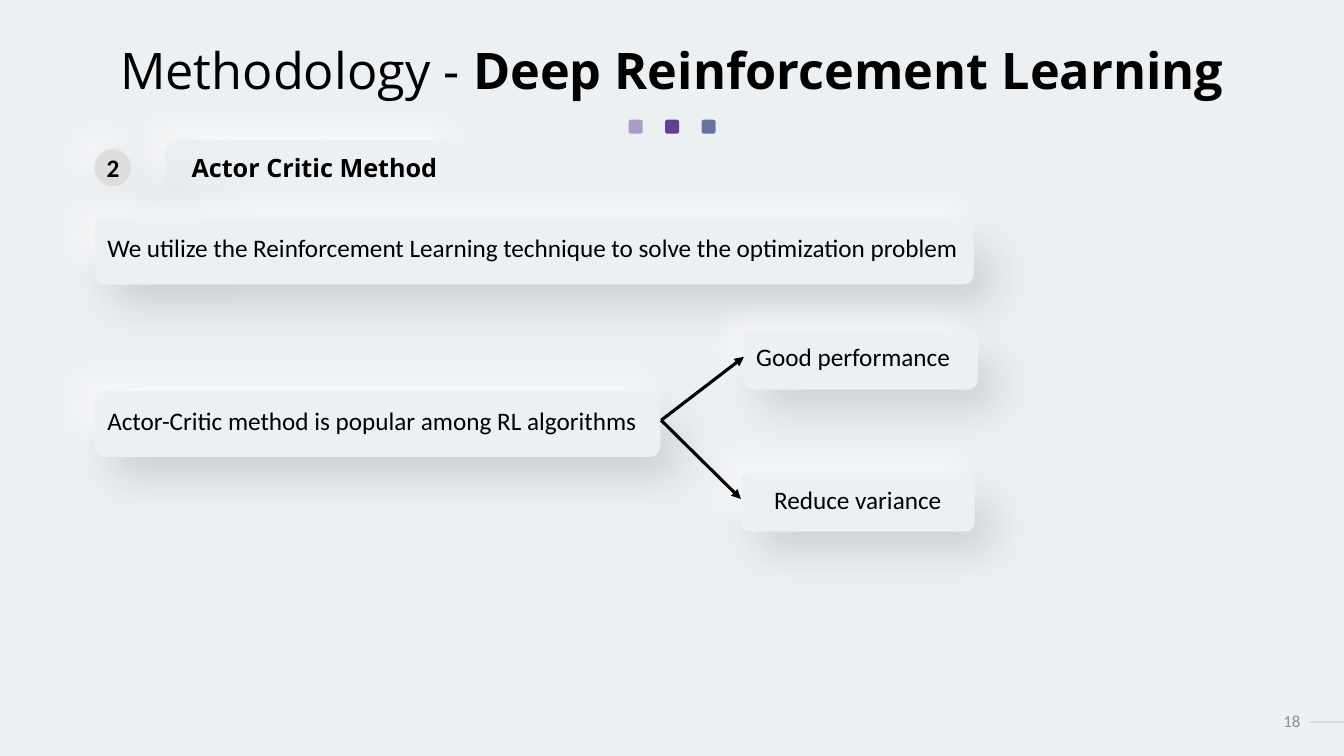
from dataclasses import dataclass

from lxml.etree import SubElement
from pptx import Presentation
from pptx.dml.color import RGBColor
from pptx.enum.shapes import MSO_CONNECTOR as Link, MSO_SHAPE as Kind
from pptx.enum.text import MSO_ANCHOR as Anchor, PP_ALIGN as Align
from pptx.oxml.ns import qn
from pptx.util import Pt

PAPER = "ECF0F3"


@dataclass
class Glow:
    color: str
    alpha: int
    blur: float
    dist: float
    angle: int


@dataclass
class Card:
    text: str
    left: float
    top: float
    width: float
    height: float
    align: Align = Align.JUSTIFY


@dataclass
class Line:
    start: tuple[float, float]
    end: tuple[float, float]
    color: str = "000000"
    weight: float = 2.25
    arrow: bool = True


LIGHT = Glow("FFFFFF", 50, 20, 15, 225)
SHADE = Glow("0D0D0D", 14, 32, 18, 45)
DEEP = Glow("000000", 25, 63, 55, 45)

CARDS = [
    Card("We utilize the Reinforcement Learning technique to solve the "
         "optimization problem", 67.7, 156.2, 627.8, 41.8),
    Card("Actor-Critic method is popular among RL algorithms",
         67.7, 279.4, 404, 41.8),
    Card("Good performance", 531.4, 236.2, 167, 37.4),
    Card("Reduce variance", 529.2, 337.7, 167, 37.4, Align.CENTER),
]
FORK = (472.3, 300.2)
LINES = [
    Line((935.3, 515.5), (960, 515.5), "DDDDDD", 1.5, False),
    Line(FORK, (531.4, 254.9)),
    Line(FORK, (529.2, 356.4)),
]


def rgb(value: str) -> RGBColor:
    return RGBColor.from_string(value)


def write(shape, *parts: tuple[str, bool], font: str = "Calibri",
          size: float = 18, color: str = "000000", align: Align = Align.CENTER,
          inset: float = 7.2, pitch: float | None = None) -> None:
    """Fill a shape with one paragraph of (text, bold) parts."""
    frame = shape.text_frame
    frame.word_wrap = True
    frame.vertical_anchor = Anchor.MIDDLE
    frame.margin_left = frame.margin_right = Pt(inset)
    para = frame.paragraphs[0]
    para.alignment = align
    para.line_spacing = pitch
    for text, bold in parts:
        run = para.add_run()
        run.text = text
        run.font.name = font
        run.font.size = Pt(size)
        run.font.bold = bold
        run.font.color.rgb = rgb(color)


def label(slide, left: float, top: float, width: float, height: float):
    return slide.shapes.add_textbox(Pt(left), Pt(top), Pt(width), Pt(height))


def block(slide, kind: Kind, left: float, top: float, width: float,
          height: float, fill: str, glow: Glow | None = None,
          bend: float | None = None):
    """Add a borderless shape with an optional outer shadow."""
    shape = slide.shapes.add_shape(kind, Pt(left), Pt(top), Pt(width), Pt(height))
    shape.fill.solid()
    shape.fill.fore_color.rgb = rgb(fill)
    shape.line.fill.background()
    shape.shadow.inherit = False
    if bend is not None:
        shape.adjustments[0] = bend
    if glow:
        effects = shape._element.spPr.find(qn("a:effectLst"))
        outer = SubElement(
            effects, qn("a:outerShdw"), blurRad=str(Pt(glow.blur)),
            dist=str(Pt(glow.dist)), dir=str(glow.angle * 60000),
            algn="tl" if glow.angle == 45 else "br", rotWithShape="0")
        tint = SubElement(outer, qn("a:srgbClr"), val=glow.color)
        SubElement(tint, qn("a:alpha"), val=str(glow.alpha * 1000))
    return shape


def draw_card(slide, card: Card) -> None:
    block(slide, Kind.ROUNDED_RECTANGLE, card.left, card.top + 0.225 * card.height,
          card.width, 0.9 * card.height, PAPER, SHADE, 0.2)
    face = block(slide, Kind.ROUNDED_RECTANGLE, card.left, card.top,
                 card.width, card.height, PAPER, LIGHT, 0.153)
    write(face, (card.text, False), align=card.align)


def draw_line(slide, item: Line) -> None:
    ends = [Pt(value) for value in item.start + item.end]
    link = slide.shapes.add_connector(Link.STRAIGHT, *ends)
    link.line.color.rgb = rgb(item.color)
    link.line.width = Pt(item.weight)
    if item.arrow:
        SubElement(link.line._get_or_add_ln(), qn("a:tailEnd"), type="triangle")
    SubElement(link._element.spPr, qn("a:effectLst"))


def main() -> None:
    deck = Presentation()
    deck.slide_width, deck.slide_height = Pt(960), Pt(540)
    slide = deck.slides.add_slide(deck.slide_layouts[6])
    slide.background.fill.solid()
    slide.background.fill.fore_color.rgb = rgb("EDF0F3")

    write(label(slide, 894.2, 500.4, 41.8, 28.8), ("18", False),
          size=12, color="8C8C8C", align=Align.RIGHT)
    for index, color in enumerate(("AE9CC8", "623E95", "6774A0")):
        block(slide, Kind.ROUNDED_RECTANGLE, 449.1 + 26 * index, 85.5,
              10, 10, color)
    write(label(slide, 66, 28.8, 828, 46.8), ("Methodology - ", False),
          ("Deep Reinforcement Learning", True),
          font="Open Sans", size=36, pitch=0.9)

    head = block(slide, Kind.ROUNDED_RECTANGLE, 118.1, 100.1, 213.1, 39.6,
                 PAPER, LIGHT, 0.2)
    write(head, ("Actor Critic Method", True), font="Open Sans")
    block(slide, Kind.OVAL, 66.2, 105.1, 30.2, 30.2, "EDF0F3", LIGHT)
    badge = block(slide, Kind.OVAL, 67.7, 106.6, 26, 26.6, "DDDDDD", DEEP)
    write(badge, ("2", True), inset=0)

    for card in CARDS:
        draw_card(slide, card)
    for item in LINES:
        draw_line(slide, item)
    deck.save("out.pptx")


if __name__ == "__main__":
    main()
